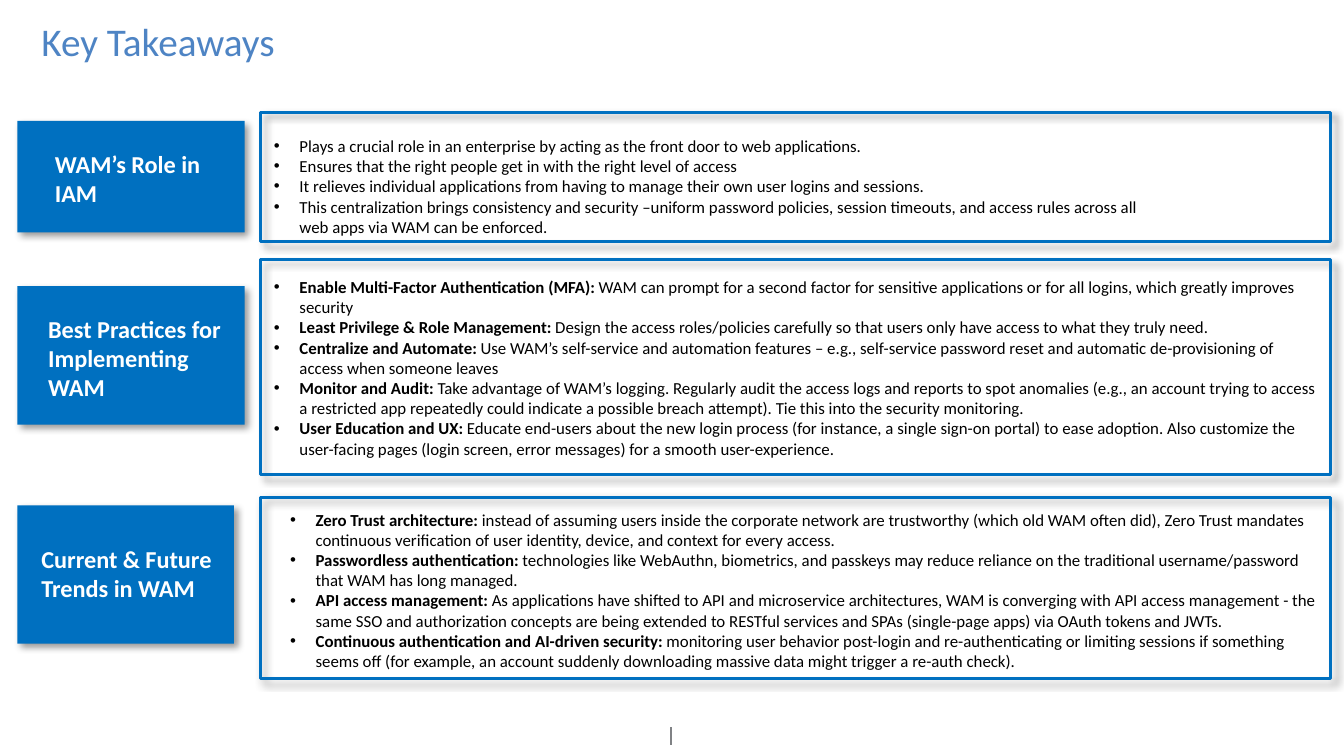
from lxml import etree
from pptx import Presentation
from pptx import util as u
from pptx.dml.color import RGBColor
from pptx.enum import shapes, text
from pptx.oxml.ns import qn

COLORS = {
    "title": "4E84C4",
    "blue": "0070C0",
    "white": "FFFFFF",
    "black": "000000",
    "gray": "808285",
}
FONT = "Calibri"
SLIDE_WIDTH = 10
SLIDE_HEIGHT = SLIDE_WIDTH * 9 / 16
LABEL_LEFT = 0.13
PANEL_LEFT, PANEL_WIDTH = 1.94, 7.96
INDENT = 0.19

SECTIONS = [
    {
        "label": "WAM’s Role in IAM",
        "label_box": (0.9, 1.69, 0.83),
        "label_text": (0.31, 1.06, 1.52, 0.54),
        "panel": (0.84, 0.96),
        "panel_text": (1.94, 0.96, 6.7, 0.86),
        "points": [
            ("", "Plays a crucial role in an enterprise by acting as the front door to web applications."),
            ("", "Ensures that the right people get in with the right level of access"),
            ("", "It relieves individual applications from having to manage their own user logins and sessions."),
            ("", "This centralization brings consistency and security –uniform password policies, session "
                 "timeouts, and access rules across all web apps via WAM can be enforced."),
        ],
    },
    {
        "label": "Best Practices for Implementing WAM",
        "label_box": (2.13, 1.69, 1.03),
        "label_text": (0.26, 2.29, 1.62, 0.76),
        "panel": (1.93, 1.6),
        "panel_text": (1.94, 2.01, 7.96, 1.46),
        "points": [
            ("Enable Multi-Factor Authentication (MFA): ",
             "WAM can prompt for a second factor for sensitive applications or for all logins, "
             "which greatly improves security"),
            ("Least Privilege & Role Management: ",
             "Design the access roles/policies carefully so that users only have access to what they truly need."),
            ("Centralize and Automate: ",
             "Use WAM’s self-service and automation features – e.g., self-service password reset and "
             "automatic de-provisioning of access when someone leaves"),
            ("Monitor and Audit: ",
             "Take advantage of WAM’s logging. Regularly audit the access logs and reports to spot anomalies "
             "(e.g., an account trying to access a restricted app repeatedly could indicate a possible breach "
             "attempt). Tie this into the security monitoring."),
            ("User Education and UX: ",
             "Educate end-users about the new login process (for instance, a single sign-on portal) to ease "
             "adoption. Also customize the user-facing pages (login screen, error messages) for a smooth "
             "user-experience."),
        ],
    },
    {
        "label": "Current & Future Trends in WAM",
        "label_box": (3.76, 1.61, 1.03),
        "label_text": (0.21, 4, 1.61, 0.54),
        "panel": (3.7, 1.35),
        "panel_text": (2.06, 3.74, 7.85, 1.31),
        "points": [
            ("Zero Trust architecture:",
             " instead of assuming users inside the corporate network are trustworthy (which old WAM often did), "
             "Zero Trust mandates continuous verification of user identity, device, and context for every access."),
            ("Passwordless authentication:",
             " technologies like WebAuthn, biometrics, and passkeys may reduce reliance on the traditional "
             "username/password that WAM has long managed."),
            ("API access management: ",
             "As applications have shifted to API and microservice architectures, WAM is converging with API "
             "access management - the same SSO and authorization concepts are being extended to RESTful "
             "services and SPAs (single-page apps) via OAuth tokens and JWTs."),
            ("Continuous authentication and AI-driven security: ",
             "monitoring user behavior post-login and re-authenticating or limiting sessions if something seems "
             "off (for example, an account suddenly downloading massive data might trigger a re-auth check)."),
        ],
    },
]


def rgb(name):
    return RGBColor.from_string(COLORS[name])


def inches(*values):
    return [u.Inches(v) for v in values]


def style(font, size, color, bold=False):
    font.name = FONT
    font.size = u.Pt(size)
    font.bold = bold
    font.color.rgb = rgb(color)


def add_shadow(sp):
    sp.shadow.inherit = False
    effects = sp._element.spPr.find(qn("a:effectLst"))
    outer = etree.SubElement(
        effects, qn("a:outerShdw"), blurRad=str(u.Pt(4)), dist=str(u.Pt(3)),
        dir=str(45 * 60000), algn="tl", rotWithShape="0")
    color = etree.SubElement(outer, qn("a:srgbClr"), val=COLORS["black"])
    etree.SubElement(color, qn("a:alpha"), val="40000")


def add_box(s, box, filled):
    sp = s.shapes.add_shape(shapes.MSO_SHAPE.RECTANGLE, *inches(*box))
    if filled:
        sp.fill.solid()
        sp.fill.fore_color.rgb = rgb("blue")
        sp.line.fill.background()
    else:
        sp.fill.background()
        sp.line.color.rgb = rgb("blue")
        sp.line.width = u.Pt(1.5)
    add_shadow(sp)


def add_frame(s, box, grow=True):
    tf = s.shapes.add_textbox(*inches(*box)).text_frame
    tf.word_wrap = True
    if grow:
        tf.auto_size = text.MSO_AUTO_SIZE.SHAPE_TO_FIT_TEXT
    return tf


def add_title(s):
    tf = add_frame(s, (0.21, 0.12, 8.62, 0.6), grow=False)
    tf.text = "Key Takeaways"
    p = tf.paragraphs[0]
    p.line_spacing = 0.9
    style(p.runs[0].font, 21, "title")


def add_label(s, box, content):
    tf = add_frame(s, box)
    tf.text = content
    style(tf.paragraphs[0].runs[0].font, 13, "white", True)


def add_bullet(p):
    pPr = p._p.get_or_add_pPr()
    pPr.set("marL", str(u.Inches(INDENT)))
    pPr.set("indent", str(-u.Inches(INDENT)))
    etree.SubElement(pPr, qn("a:buFont"), typeface="Arial")
    etree.SubElement(pPr, qn("a:buChar"), char="•")


def add_points(s, box, points):
    tf = add_frame(s, box)
    for i, (lead, body) in enumerate(points):
        p = tf.add_paragraph() if i else tf.paragraphs[0]
        add_bullet(p)
        for content, bold in ((lead, True), (body, False)):
            if content:
                r = p.add_run()
                r.text = content
                style(r.font, 9, "black", bold)


def add_section(s, section):
    top, width, height = section["label_box"]
    add_box(s, (LABEL_LEFT, top, width, height), True)
    add_label(s, section["label_text"], section["label"])
    top, height = section["panel"]
    add_box(s, (PANEL_LEFT, top, PANEL_WIDTH, height), False)
    add_points(s, section["panel_text"], section["points"])


def add_footer_line(s):
    line = s.shapes.add_connector(
        shapes.MSO_CONNECTOR.STRAIGHT, *inches(4.99, 5.41, 4.99, 5.54))
    line.line.color.rgb = rgb("gray")
    line.line.width = u.Pt(1)
    etree.SubElement(line._element.spPr, qn("a:effectLst"))


def main():
    prs = Presentation()
    prs.slide_width, prs.slide_height = inches(SLIDE_WIDTH, SLIDE_HEIGHT)
    s = prs.slides.add_slide(prs.slide_layouts[6])
    add_footer_line(s)
    add_title(s)
    for section in SECTIONS:
        add_section(s, section)
    prs.save("out.pptx")


if __name__ == "__main__":
    main()
